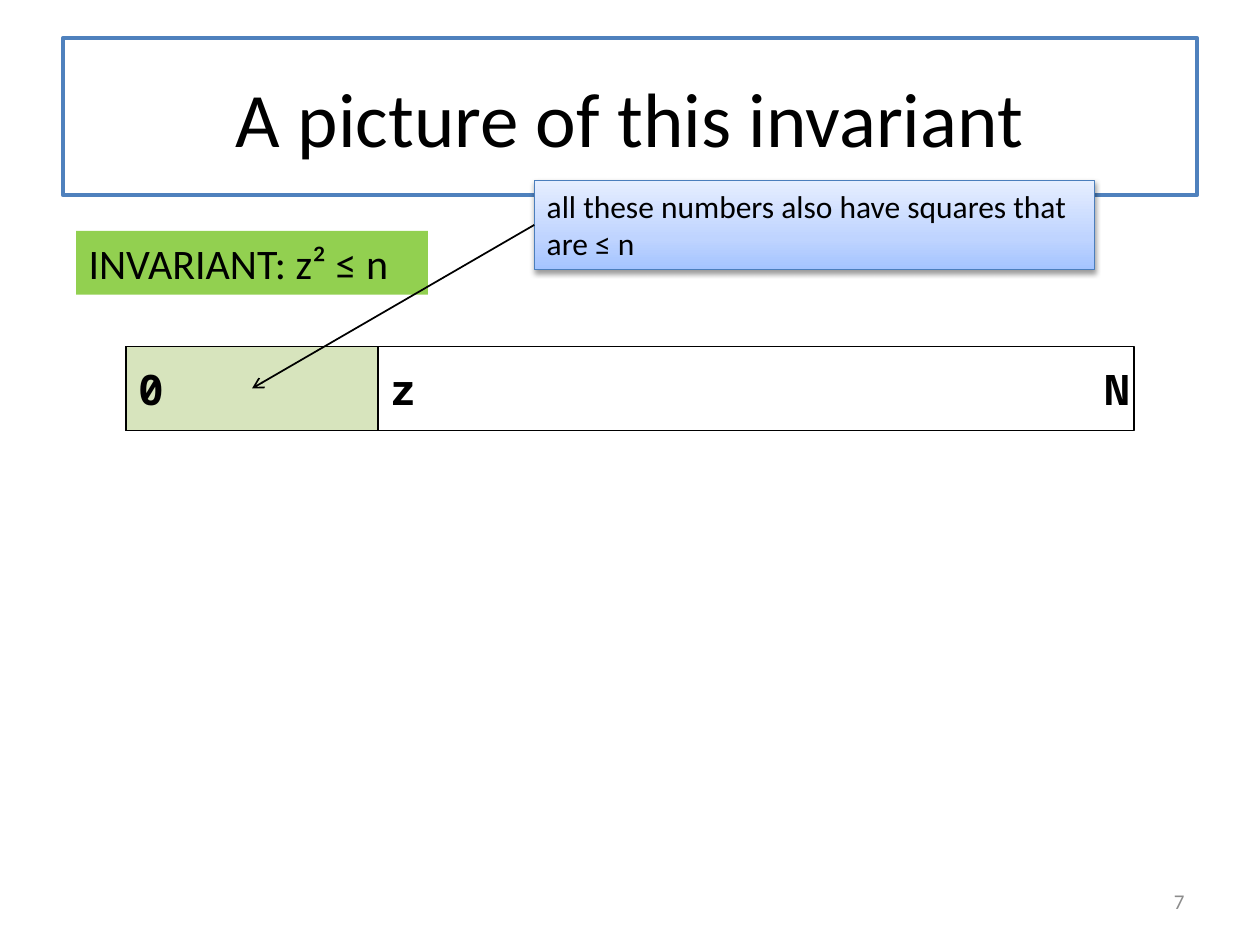
from copy import deepcopy

from pptx import Presentation
from pptx.dml.color import RGBColor
from pptx.enum import shapes, text
from pptx.oxml import ns
from pptx.util import Pt
from lxml import etree

COLORS = {
    "ink": "000000", "white": "FFFFFF", "frame": "4F81BD", "number": "8C8C8C",
    "processed": "D7E4BD", "invariant": "92D050", "callout_line": "4B7EBC",
    "callout_low": "A4C4FF", "callout_mid": "BFD4FF", "callout_high": "E6EEFF",
}
CALLOUT_STOPS = [(0, "callout_low"), (0.35, "callout_mid"), (1, "callout_high")]
SANS, MONO = "Calibri", "Noto Sans Mono"


def rgb(name):
    return RGBColor.from_string(COLORS[name])


def add_xml(parent, tag, **attributes):
    return etree.SubElement(parent, ns.qn(tag), attributes)


def write(box, words, size, color="ink", font=SANS, bold=False,
          align=text.PP_ALIGN.LEFT, anchor=text.MSO_ANCHOR.TOP, wrap=True):
    frame = box.text_frame
    frame.text = words
    frame.word_wrap = wrap
    frame.vertical_anchor = anchor
    para = frame.paragraphs[0]
    para.alignment = align
    para.font.name = font
    para.font.size = Pt(size)
    para.font.bold = bold
    para.font.color.rgb = rgb(color)


def add_rectangle(page, left, top, width, height, fill=None, line=None, weight=1):
    box = page.shapes.add_shape(shapes.MSO_SHAPE.RECTANGLE,
                                Pt(left), Pt(top), Pt(width), Pt(height))
    box.shadow.inherit = False
    if fill:
        box.fill.solid()
        box.fill.fore_color.rgb = rgb(fill)
    else:
        box.fill.background()
    if line:
        box.line.color.rgb = rgb(line)
        box.line.width = Pt(weight)
    else:
        box.line.fill.background()
    return box


def add_line(page, x1, y1, x2, y2, weight):
    line = page.shapes.add_connector(shapes.MSO_CONNECTOR.STRAIGHT,
                                     Pt(x1), Pt(y1), Pt(x2), Pt(y2))
    line.line.color.rgb = rgb("ink")
    line.line.width = Pt(weight)
    add_xml(line._element.spPr, "a:effectLst")
    return line


def add_title(page, left, top, width, height):
    title = page.shapes.title
    title.left, title.top = Pt(left), Pt(top)
    title.width, title.height = Pt(width), Pt(height)
    title.fill.solid()
    title.fill.fore_color.rgb = rgb("white")
    title.line.color.rgb = rgb("frame")
    title.line.width = Pt(2.25)
    write(title, "A picture of this invariant", 44,
          align=text.PP_ALIGN.CENTER, anchor=text.MSO_ANCHOR.MIDDLE)


def add_page_number(page, left, top, width, height):
    box = page.shapes.add_textbox(Pt(left), Pt(top), Pt(width), Pt(height))
    write(box, "7", 12, "number", align=text.PP_ALIGN.RIGHT,
          anchor=text.MSO_ANCHOR.MIDDLE)


def add_number_range(page, left, top, width, height):
    """Draw the bar from 0 to N, split at z; return the centre of its first part."""
    split = width / 4
    add_rectangle(page, left, top, split, height, "processed", "ink")
    add_rectangle(page, left, top, width, height, line="ink")
    add_line(page, left + split, top, left + split, top + height, 0.75)
    for label, offset in (("0", 0), ("z", split), ("N", width - 24)):
        box = page.shapes.add_textbox(Pt(left + offset), Pt(top + 6), Pt(28), Pt(36))
        write(box, label, 24, font=MONO, bold=True, wrap=False)
    return left + split / 2, top + height / 2


def add_invariant(page, left, top, width, height):
    box = add_rectangle(page, left, top, width, height, "invariant")
    write(box, "INVARIANT: z² ≤ n", 24)


def add_callout(page, left, top, width, height, target):
    box = add_rectangle(page, left, top, width, height, line="callout_line", weight=0.75)
    box.fill.gradient()
    box.fill.gradient_angle = 90
    first = box._element.spPr.find(".//" + ns.qn("a:gs"))
    first.addnext(deepcopy(first))
    for stop, (position, color) in zip(box.fill.gradient_stops, CALLOUT_STOPS):
        stop.position = position
        stop.color.rgb = rgb(color)

    effects = box._element.spPr.find(ns.qn("a:effectLst"))
    shadow = add_xml(effects, "a:outerShdw", blurRad=str(Pt(3.1)), dist=str(Pt(1.6)),
                     dir="5400000", rotWithShape="0")
    shade = add_xml(shadow, "a:srgbClr", val=COLORS["ink"])
    add_xml(shade, "a:alpha", val="38000")
    write(box, "all these numbers also have squares that are ≤ n", 18)

    arrow = add_line(page, left, top + height / 2, *target, 1)
    arrow.begin_connect(box, 1)
    add_xml(arrow.line._get_or_add_ln(), "a:tailEnd", type="arrow")


def main():
    deck = Presentation()
    deck.slide_width, deck.slide_height = Pt(720), Pt(540)
    page = deck.slides.add_slide(deck.slide_layouts[5])
    add_title(page, 36, 21.6, 648, 90)
    add_page_number(page, 516, 500.5, 168, 28.75)
    processed_center = add_number_range(page, 72, 198, 576, 48)
    add_invariant(page, 43.5, 132, 201, 36.35)
    add_callout(page, 305.3, 103.1, 320, 50.9, processed_center)
    deck.save("out.pptx")


if __name__ == "__main__":
    main()
